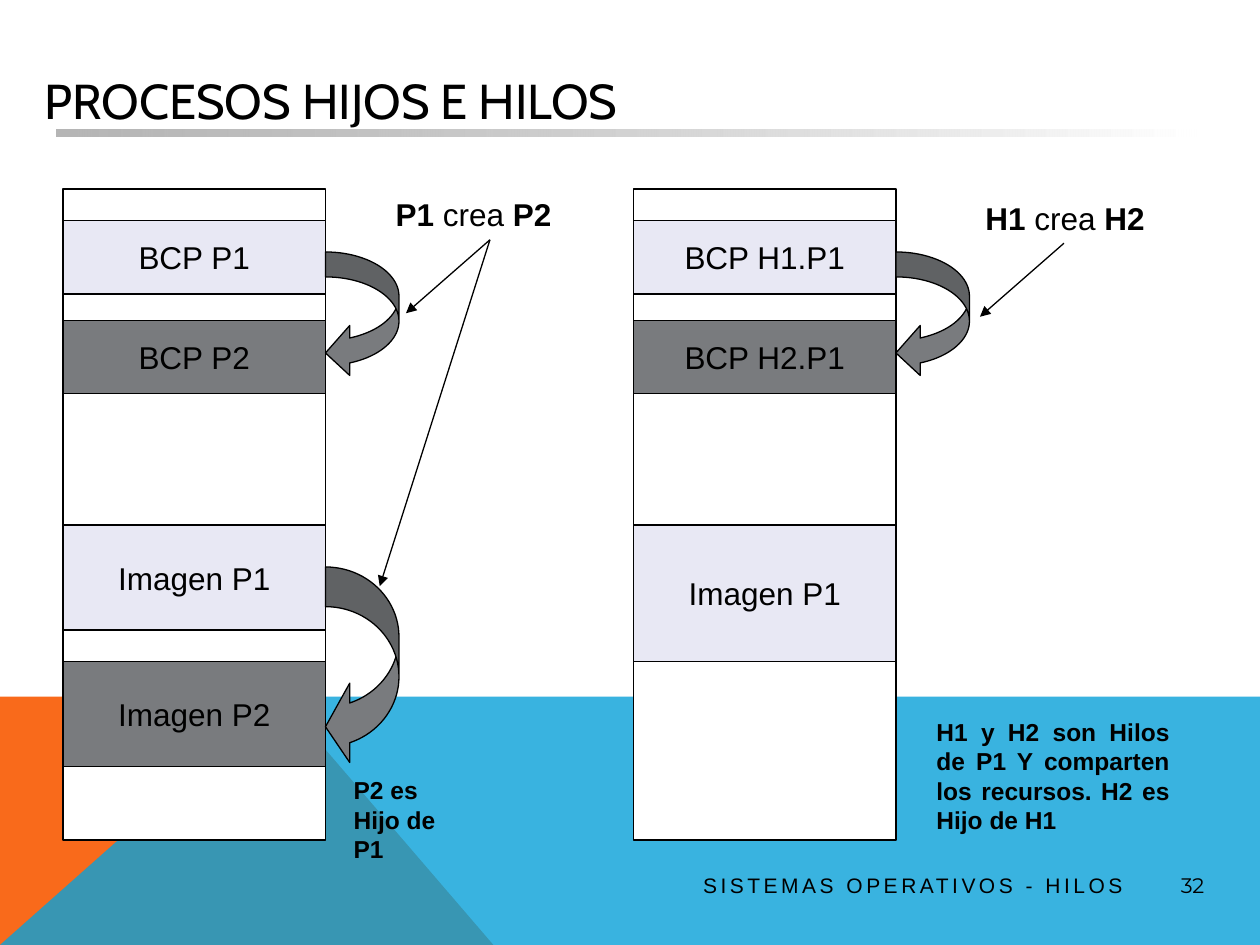
from lxml import etree
from pptx import Presentation
from pptx.dml.color import RGBColor
from pptx.enum import shapes, text
from pptx.oxml.ns import qn
from pptx.util import Pt

COLORS = {
    "black": "000000", "white": "FFFFFF", "orange": "F96A1B", "blue": "08A1D9",
    "rule": "969696", "parent": "E8E8F4", "child": "797B7E",
}
LEFT, CENTER, RIGHT, JUSTIFY = (text.PP_ALIGN.LEFT, text.PP_ALIGN.CENTER,
                                text.PP_ALIGN.RIGHT, text.PP_ALIGN.JUSTIFY)


def rgb(name):
    return RGBColor.from_string(COLORS[name])


class Deck:
    font, line_width = "Arial", 0.75

    def __init__(self):
        self.prs = Presentation()
        self.prs.slide_width, self.prs.slide_height = Pt(720), Pt(540)
        self.slide = self.prs.slides.add_slide(self.prs.slide_layouts[5])
        self.shapes = self.slide.shapes

    def set_alpha(self, parent, percent):
        for color in parent.iter(qn("a:srgbClr")):
            etree.SubElement(color, qn("a:alpha")).set("val", str(percent * 1000))

    def set_text(self, sp, paragraphs, size, align=LEFT, bold=False, wrap=True,
                 anchor=text.MSO_ANCHOR.TOP, font=None, spacing=None):
        """Each paragraph is a string or a list of (string, bold) runs."""
        tf = sp.text_frame
        tf.word_wrap, tf.vertical_anchor = wrap, anchor
        tf.auto_size = text.MSO_AUTO_SIZE.NONE
        for i, content in enumerate(paragraphs):
            p = tf.add_paragraph() if i else tf.paragraphs[0]
            p.alignment = align
            p.font.size, p.font.name = Pt(size), font or self.font
            p.font.color.rgb = rgb("black")
            if isinstance(content, str):
                p.font.bold = bold
                content = [(content, None)]
            for words, run_bold in content:
                r = p.add_run()
                r.text, r.font.bold = words, run_bold
            if spacing:
                p._p.pPr.find(qn("a:defRPr")).set("spc", str(spacing * 100))

    def title(self, words, x, y, w, h):
        sp = self.shapes.title
        sp.left, sp.top, sp.width, sp.height = Pt(x), Pt(y), Pt(w), Pt(h)
        self.set_text(sp, [words], 28, font="Cabin", anchor=text.MSO_ANCHOR.MIDDLE)

    def textbox(self, paragraphs, x, y, w, h, size, **style):
        sp = self.shapes.add_textbox(Pt(x), Pt(y), Pt(w), Pt(h))
        self.set_text(sp, paragraphs, size, **style)

    def shape(self, kind, x, y, w, h, fill):
        sp = self.shapes.add_shape(kind, Pt(x), Pt(y), Pt(w), Pt(h))
        sp.shadow.inherit = False
        sp.fill.solid()
        sp.fill.fore_color.rgb = rgb(fill)
        sp.line.color.rgb = rgb("black")
        sp.line.width = Pt(self.line_width)
        return sp

    def block(self, x, y, w, h, fill, label=None):
        sp = self.shape(shapes.MSO_SHAPE.RECTANGLE, x, y, w, h, fill)
        if label:
            self.set_text(sp, [label], 18, align=CENTER, wrap=False,
                          anchor=text.MSO_ANCHOR.MIDDLE)

    def curved_arrow(self, x, y, w, h, thickness):
        sp = self.shape(shapes.MSO_SHAPE.CURVED_LEFT_ARROW, x, y, w, h, "child")
        for i, value in enumerate((thickness, 2 * thickness, 0.33)):
            sp.adjustments[i] = value

    def pointer(self, x1, y1, x2, y2):
        line = self.shapes.add_connector(shapes.MSO_CONNECTOR.STRAIGHT,
                                         Pt(x1), Pt(y1), Pt(x2), Pt(y2))
        line.line.color.rgb = rgb("black")
        line.line.width = Pt(self.line_width)
        spPr = line._element.spPr
        etree.SubElement(spPr.find(qn("a:ln")), qn("a:tailEnd")).set("type", "triangle")
        etree.SubElement(spPr, qn("a:effectLst"))

    def polygon(self, points, fill, alpha=None):
        builder = self.shapes.build_freeform(*points[0], scale=Pt(1))
        builder.add_line_segments(points[1:], close=True)
        sp = builder.convert_to_shape()
        sp.shadow.inherit = False
        sp.fill.solid()
        sp.fill.fore_color.rgb = rgb(fill)
        sp.line.fill.background()
        if alpha:
            self.set_alpha(sp._element.spPr, alpha)

    def fading_rule(self, x, y, w, h):
        sp = self.shape(shapes.MSO_SHAPE.RECTANGLE, x, y, w, h, "rule")
        sp.line.fill.background()
        sp.fill.gradient()
        sp.fill.gradient_angle = 0
        start, end = sp.fill.gradient_stops
        start.position, end.position = 0, 1
        start.color.rgb, end.color.rgb = rgb("rule"), rgb("white")
        self.set_alpha(sp._element.spPr.find(".//" + qn("a:gs")), 70)

    def page_number(self, number, x, y, size):
        sp = self.shape(shapes.MSO_SHAPE.OVAL, x, y, size, size, "white")
        sp.fill.background()
        sp.line.fill.background()
        tf = sp.text_frame
        tf.margin_left = tf.margin_right = tf.margin_top = tf.margin_bottom = Pt(1)
        self.set_text(sp, [number], 12, align=CENTER, font="Montserrat",
                      anchor=text.MSO_ANCHOR.MIDDLE)


def main():
    deck = Deck()

    # Background band and title
    band, peak = 397.5, 160.5
    deck.polygon([(0, 540), (0, band), (peak, band), (281.5, 540)], "orange")
    deck.polygon([(0, 540), (peak, band), (720, band), (720, 540)], "blue", alpha=80)
    deck.fading_rule(32, 74, 652, 4)
    deck.title("PROCESOS HIJOS E HILOS", 18, 36, 666, 42)

    # Footer
    deck.textbox(["SISTEMAS OPERATIVOS - HILOS"], 277, 495, 372, 22, 12, align=RIGHT,
                 anchor=text.MSO_ANCHOR.MIDDLE, spacing=2)
    deck.page_number("32", 661.5, 486, 40)

    # Memory columns: label, top, height, fill
    width = 150
    columns = {
        36: [("BCP P1", 126, 42, "parent"), ("BCP P2", 183, 42, "child"),
             ("Imagen P1", 300, 60, "parent"), ("Imagen P2", 378, 60, "child")],
        362: [("BCP H1.P1", 126, 42, "parent"), ("BCP H2.P1", 183, 42, "child"),
              ("Imagen P1", 300, 78, "parent")],
    }
    for x, blocks in columns.items():
        deck.block(x, 108, width, 372, "white")
        for label, y, h, fill in blocks:
            deck.block(x, y, width, h, fill, label)
        deck.curved_arrow(x + width, 144, 42, 72, 0.34)
    deck.curved_arrow(186, 324, 42, 114, 0.54)

    # Captions with pointers to the arrows
    captions = [
        ("P1", "P2", 219, 108, 104, [(280, 137, 232, 179), (280, 137, 217, 335)]),
        ("H1", "H2", 556, 110, 106, [(608, 139, 560, 181)]),
    ]
    for parent, child, x, y, w, pointers in captions:
        deck.textbox([[(parent, True), (" crea ", False), (child, True)]],
                     x, y, w, 29, 18, wrap=False)
        for ends in pointers:
            deck.pointer(*ends)

    # Notes under the diagrams
    deck.textbox(["P2 es", "Hijo de P1"], 195, 439.5, 82, 41, 14, bold=True)
    deck.textbox(["H1 y H2 son Hilos de P1 Y comparten los recursos. H2 es Hijo de H1"],
                 528, 406, 147.5, 74, 14, align=JUSTIFY, bold=True)

    deck.prs.save("out.pptx")


if __name__ == "__main__":
    main()
